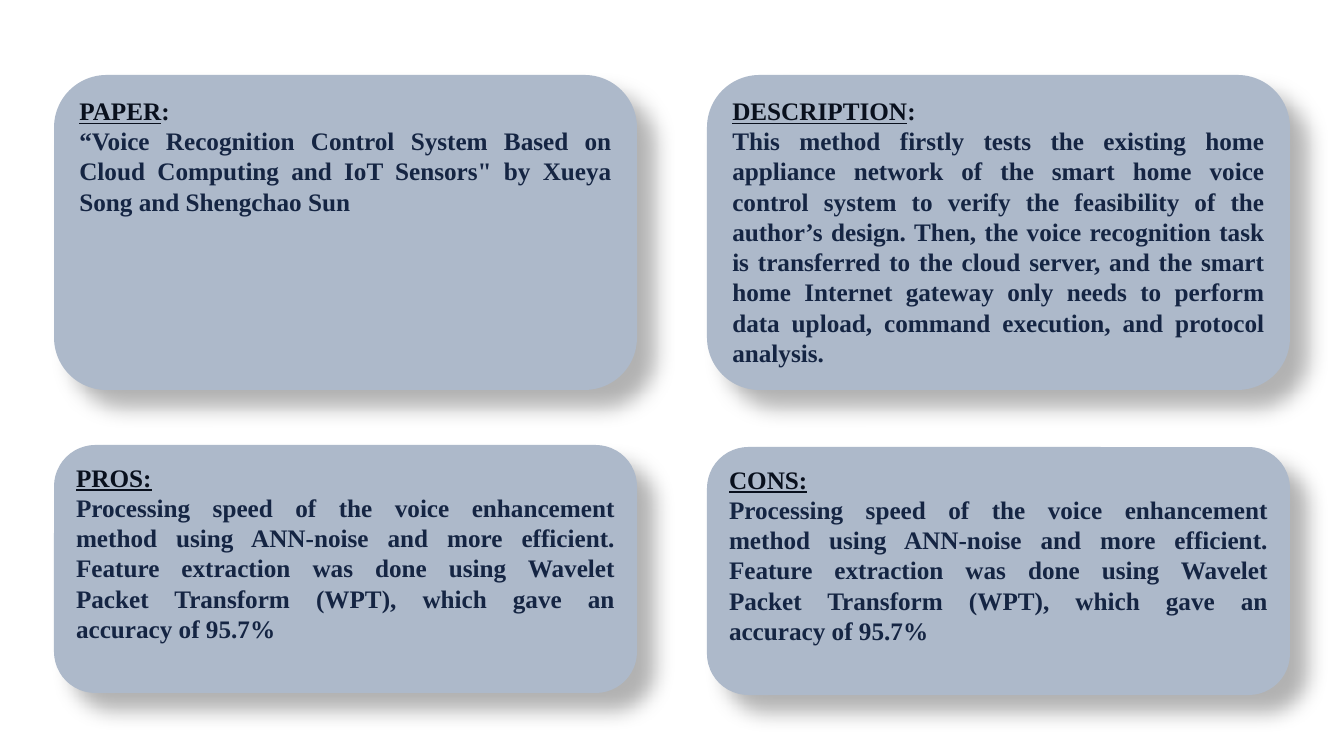
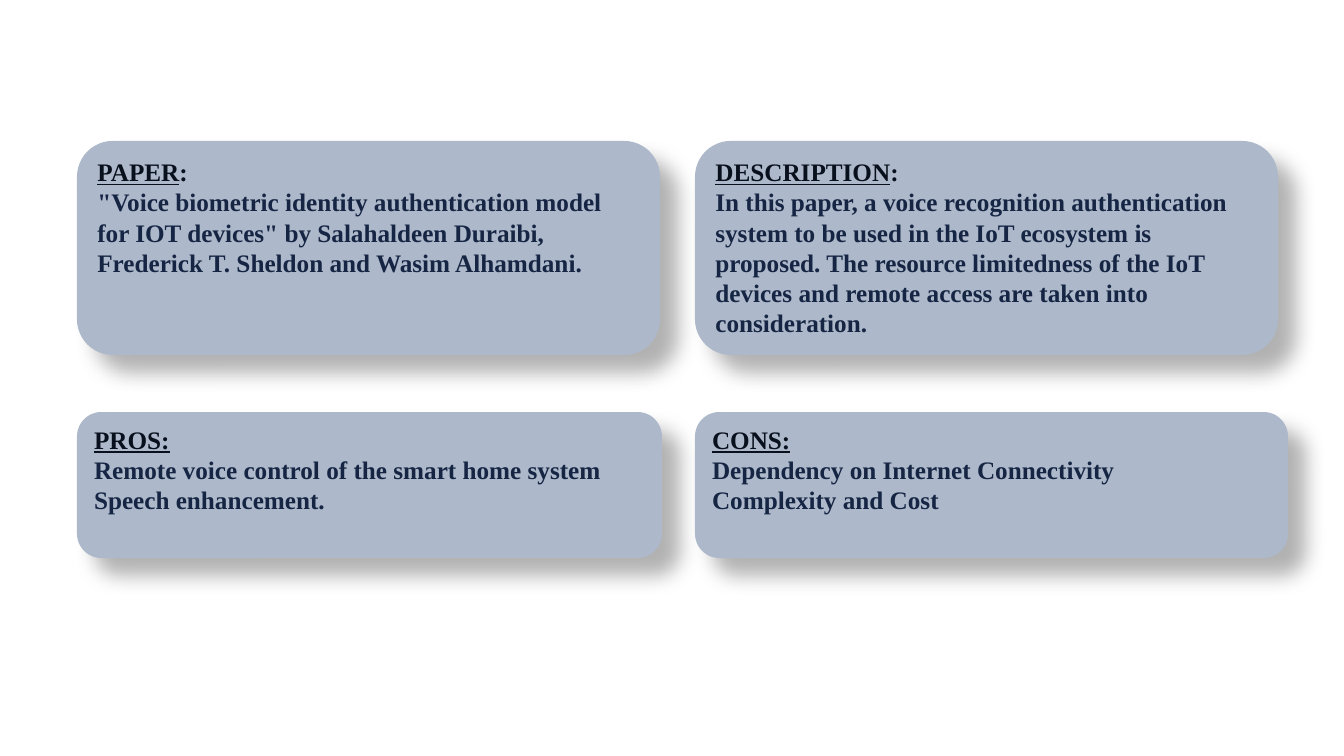
import dataclasses

import lxml.etree
import pptx
import pptx.dml.color
import pptx.enum.shapes
import pptx.enum.text
import pptx.oxml.ns
import pptx.util

PIXELS_PER_INCH = 100.8
SLIDE_WIDTH, SLIDE_HEIGHT = 1344, 756
FONT_NAME = "Times New Roman"
FONT_SIZE = 18
COLORS = {
    "card": "ADB9CA",
    "heading": "09101D",
    "body": "152543",
    "shadow": "000000",
}
JUSTIFIED = pptx.enum.text.PP_ALIGN.JUSTIFY
LEFT = pptx.enum.text.PP_ALIGN.LEFT


@dataclasses.dataclass(frozen=True)
class Card:
    """A rounded panel with an underlined heading and body paragraphs."""

    left: int
    top: int
    width: int
    height: int
    heading: str
    body: tuple[str, ...]
    heading_tail: str = ""


@dataclasses.dataclass(frozen=True)
class Page:
    """A slide of cards that share one text alignment."""

    alignment: pptx.enum.text.PP_ALIGN
    cards: tuple[Card, ...]


ENHANCEMENT = (
    "Processing speed of the voice enhancement method using ANN-noise and more "
    "efficient. Feature extraction was done using Wavelet Packet Transform (WPT), "
    "which gave an accuracy of 95.7%"
)

PAGES = (
    Page(JUSTIFIED, (
        Card(54, 75, 583, 315, "PAPER", (
            "“Voice Recognition Control System Based on Cloud Computing and IoT "
            "Sensors\" by Xueya Song and Shengchao Sun",
        ), ":"),
        Card(707, 75, 583, 315, "DESCRIPTION", (
            "This method firstly tests the existing home appliance network of the "
            "smart home voice control system to verify the feasibility of the "
            "author’s design. Then, the voice recognition task is transferred to "
            "the cloud server, and the smart home Internet gateway only needs to "
            "perform data upload, command execution, and protocol analysis.",
        ), ":"),
        Card(54, 445, 583, 248, "PROS:", (ENHANCEMENT,)),
        Card(707, 447, 583, 248, "CONS:", (ENHANCEMENT,)),
    )),
    Page(LEFT, (
        Card(77, 141, 583, 214, "PAPER", (
            "\"Voice biometric identity authentication model for IOT devices\" by "
            "Salahaldeen Duraibi, Frederick T. Sheldon and Wasim Alhamdani.",
        ), ":"),
        Card(695, 141, 583, 214, "DESCRIPTION", (
            "In this paper, a voice recognition authentication system to be used "
            "in the IoT ecosystem is proposed. The resource limitedness of the IoT "
            "devices and remote access are taken into consideration.",
        ), ":"),
        Card(77, 412, 585, 146, "PROS:", (
            "Remote voice control of the smart home system",
            "Speech enhancement.",
        )),
        Card(695, 412, 593, 146, "CONS:", (
            "Dependency on Internet Connectivity",
            "Complexity and Cost",
        )),
    )),
)


def px(length: int) -> pptx.util.Emu:
    """Turn pixels into EMU."""
    return pptx.util.Emu(round(length * 914400 / PIXELS_PER_INCH))


def color(name: str) -> pptx.dml.color.RGBColor:
    """Look up a named colour."""
    return pptx.dml.color.RGBColor.from_string(COLORS[name])


def add_shadow(box) -> None:
    """Cast a soft shadow to the lower right of the box."""
    qn = pptx.oxml.ns.qn
    box.shadow.inherit = False
    effects = box.element.spPr.find(qn("a:effectLst"))
    shadow = lxml.etree.SubElement(
        effects, qn("a:outerShdw"),
        blurRad=str(pptx.util.Pt(15)), dist=str(pptx.util.Pt(18)),
        dir=str(45 * 60000), algn="tl", rotWithShape="0",
    )
    tint = lxml.etree.SubElement(shadow, qn("a:srgbClr"), val=COLORS["shadow"])
    lxml.etree.SubElement(tint, qn("a:alpha"), val="30000")


def add_span(para, text: str, color_name: str, underline: bool = False) -> None:
    """Append a bold run to the paragraph."""
    span = para.add_run()
    span.text = text
    span.font.name = FONT_NAME
    span.font.size = pptx.util.Pt(FONT_SIZE)
    span.font.bold = True
    span.font.underline = underline
    span.font.color.rgb = color(color_name)


def add_card(slide, card: Card, alignment: pptx.enum.text.PP_ALIGN) -> None:
    """Draw one card with its text."""
    box = slide.shapes.add_shape(
        pptx.enum.shapes.MSO_SHAPE.ROUNDED_RECTANGLE,
        px(card.left), px(card.top), px(card.width), px(card.height),
    )
    box.fill.solid()
    box.fill.fore_color.rgb = color("card")
    box.line.fill.background()
    add_shadow(box)

    frame = box.text_frame
    frame.word_wrap = True
    frame.auto_size = pptx.enum.text.MSO_AUTO_SIZE.SHAPE_TO_FIT_TEXT
    frame.vertical_anchor = pptx.enum.text.MSO_ANCHOR.TOP
    para = frame.paragraphs[0]
    para.alignment = alignment
    add_span(para, card.heading, "heading", underline=True)
    if card.heading_tail:
        add_span(para, card.heading_tail, "heading")
    for text in card.body:
        para = frame.add_paragraph()
        para.alignment = alignment
        add_span(para, text, "body")


def main() -> None:
    """Build and save the deck."""
    deck = pptx.Presentation()
    deck.slide_width, deck.slide_height = px(SLIDE_WIDTH), px(SLIDE_HEIGHT)
    blank_layout = deck.slide_layouts.get_by_name("Blank")
    for page in PAGES:
        slide = deck.slides.add_slide(blank_layout)
        for card in page.cards:
            add_card(slide, card, page.alignment)
    deck.save("out.pptx")


if __name__ == "__main__":
    main()
